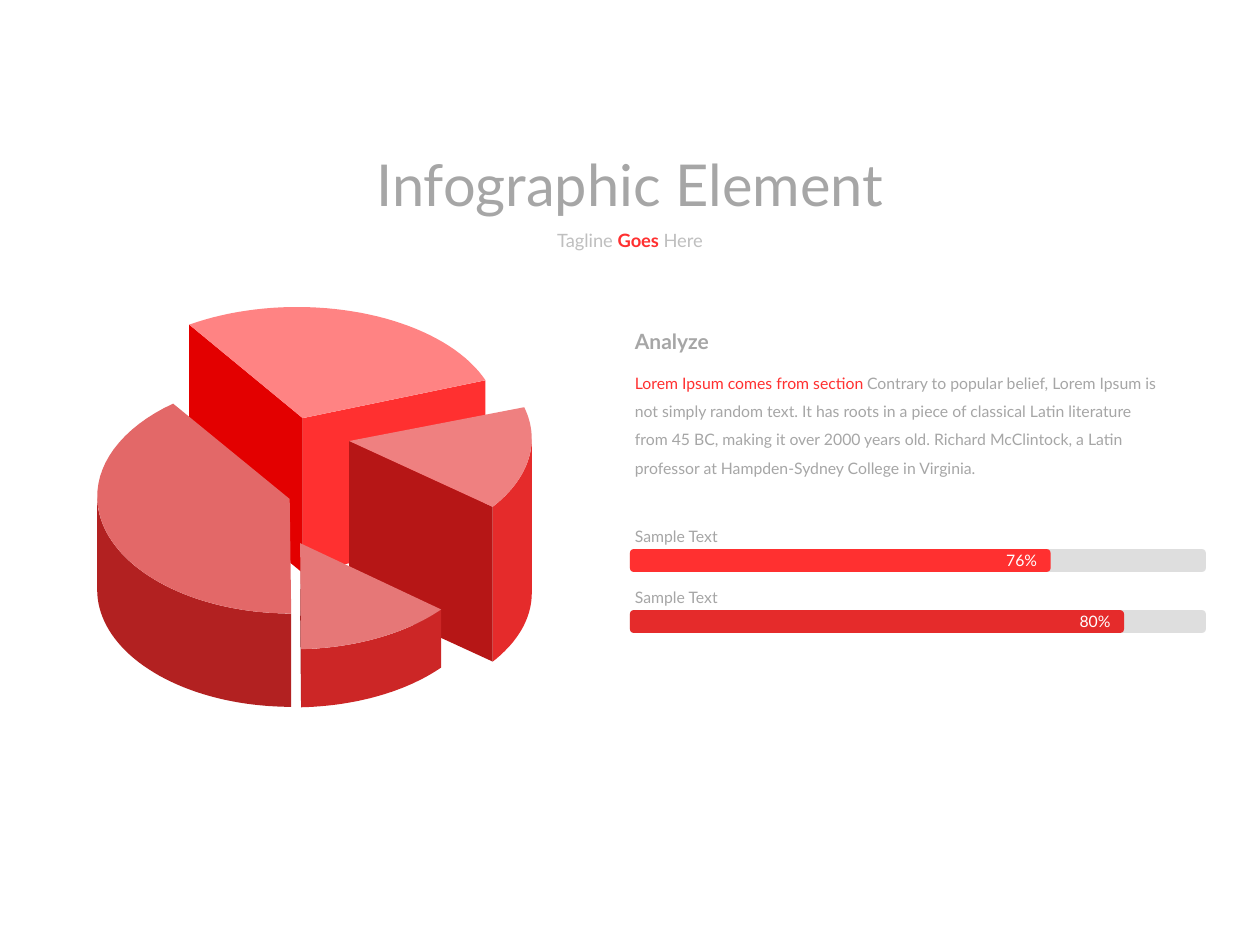
from dataclasses import dataclass
from math import cos, radians, sin

from lxml.etree import SubElement
from pptx import Presentation
from pptx.dml.color import RGBColor
from pptx.enum.shapes import MSO_SHAPE
from pptx.enum.text import MSO_ANCHOR, MSO_AUTO_SIZE, PP_ALIGN
from pptx.oxml.ns import qn
from pptx.util import Cm, Pt


@dataclass(frozen=True)
class Theme:
    font: str = "Lato"
    gray: str = "A6A6A6"
    pale: str = "BFBFBF"
    red: str = "FF3030"
    deep: str = "E52B2B"
    white: str = "FFFFFF"
    title: float = 33
    head: float = 12
    tag: float = 10.5
    body: float = 9


@dataclass(frozen=True)
class Slice:
    apex: tuple
    center: tuple
    radii: tuple
    depth: float
    start: float
    end: float
    top: str
    rim: str = None
    first: str = None
    last: str = None


THEME = Theme()

SLICES = [
    Slice((4.14, 2.23), (4.03, 2.28), (4.06, 2.29), 3.12, -122.4, -20.8,
          "FF8383", first="E30000", last=THEME.red),
    Slice((3.88, 3.86), (3.91, 3.81), (3.91, 2.36), 1.88, 90, 232.5,
          "E36868", rim="B22121"),
    Slice((5.08, 2.69), (4.85, 2.64), (3.91, 2.29), 3.12, -16, 37,
          "EF8080", rim=THEME.deep, last="B61616"),
    Slice((4.09, 4.75), (3.96, 4.6), (3.91, 2.29), 1.17, 40.5, 87.8,
          "E67777", rim="CC2626", last="991D1D"),
]


def paint(shape, color):
    shape.shadow.inherit = False
    shape.fill.solid()
    shape.fill.fore_color.rgb = RGBColor.from_string(color)
    shape.line.fill.background()


def write(frame, runs, size, align=PP_ALIGN.LEFT, wrap=False, bold=False, space=None):
    frame.word_wrap = wrap
    para = frame.paragraphs[0]
    para.alignment = align
    if space:
        para.line_spacing = space
    for text, color, *heavy in runs:
        run = para.add_run()
        run.text = text
        font = run.font
        font.name = THEME.font
        font.size = Pt(size)
        font.bold = bold or bool(heavy)
        font.color.rgb = RGBColor.from_string(color)


def label(slide, box, runs, size, **style):
    frame = slide.shapes.add_textbox(*map(Cm, box)).text_frame
    write(frame, runs, size, **style)
    frame.auto_size = MSO_AUTO_SIZE.SHAPE_TO_FIT_TEXT


def header(slide, left, top, width):
    label(slide, (left, top, width, 1.68), [("Infographic Element", THEME.gray)],
          THEME.title, align=PP_ALIGN.CENTER)
    tag = [("Tagline ", THEME.pale), ("Goes ", THEME.red, True), ("Here", THEME.pale)]
    label(slide, (left, top + 1.63, width, 0.71), tag, THEME.tag, align=PP_ALIGN.CENTER)


def arc(part, start, end, steps=40):
    (x, y), (wide, high) = part.center, part.radii
    turns = [radians(start + (end - start) * i / steps) for i in range(steps + 1)]
    return [(x + wide * cos(turn), y + high * sin(turn)) for turn in turns]


def drop(points, depth):
    return points + [(x, y + depth) for x, y in reversed(points)]


def pie(slide, left, top):
    group = slide.shapes.add_group_shape()

    def face(points, color):
        spots = [(Cm(left + x), Cm(top + y)) for x, y in points]
        pen = group.shapes.build_freeform(*spots[0], scale=1.0)
        pen.add_line_segments(spots[1:], close=True)
        paint(pen.convert_to_shape(), color)

    for part in SLICES:
        edge = arc(part, part.start, part.end)
        if part.rim:
            front = arc(part, max(part.start, 0), min(part.end, 180))
            face(drop(front, part.depth), part.rim)
        for tip, color in ((edge[-1], part.last), (edge[0], part.first)):
            if color:
                face(drop([part.apex, tip], part.depth), color)
        face([part.apex] + edge, part.top)


def bar(slide, left, top, width, color):
    box = map(Cm, (left, top, width, 0.46))
    shape = slide.shapes.add_shape(MSO_SHAPE.ROUNDED_RECTANGLE, *box)
    paint(shape, color)
    return shape


def meter(slide, left, top, width, value, color):
    label(slide, (left, top, 2.26, 0.64), [("Sample Text", THEME.gray)], THEME.body)
    left, top = left + 0.15, top + 0.58
    track = bar(slide, left, top, 11.61, THEME.pale)
    tint = track.fill._xPr.find(qn("a:solidFill"))[0]
    SubElement(tint, qn("a:alpha"), val="50000")
    frame = bar(slide, left, top, width, color).text_frame
    frame.margin_left = frame.margin_right = Cm(0.25)
    frame.margin_top = frame.margin_bottom = Cm(0.25)
    frame.vertical_anchor = MSO_ANCHOR.MIDDLE
    write(frame, [(value, THEME.white)], THEME.body, align=PP_ALIGN.RIGHT)


def panel(slide, left, top):
    label(slide, (left, top, 2.03, 0.76), [("Analyze", THEME.gray)], THEME.head, bold=True)
    body = [
        ("Lorem Ipsum comes from section ", THEME.red),
        ("Contrary to popular belief, Lorem Ipsum is not simply random text. "
         "It has roots in a piece of classical Latin literature from 45 BC, "
         "making it over 2000 years old. Richard McClintock, a Latin professor "
         "at Hampden-Sydney College in Virginia.", THEME.gray),
    ]
    label(slide, (left, top + 0.71, 11.2, 2.57), body, THEME.body, wrap=True, space=1.5)
    rows = [(8.48, "76%", THEME.red), (9.96, "80%", THEME.deep)]
    for i, row in enumerate(rows):
        meter(slide, left, top + 3.99 + 1.23 * i, *row)


def main():
    deck = Presentation()
    deck.slide_width, deck.slide_height = Cm(25.4), Cm(19.05)
    slide = deck.slides.add_slide(deck.slide_layouts[6])
    header(slide, 7.2, 2.87, 11)
    pie(slide, 1.96, 6.2)
    panel(slide, 12.55, 6.5)
    deck.save("out.pptx")


if __name__ == "__main__":
    main()
